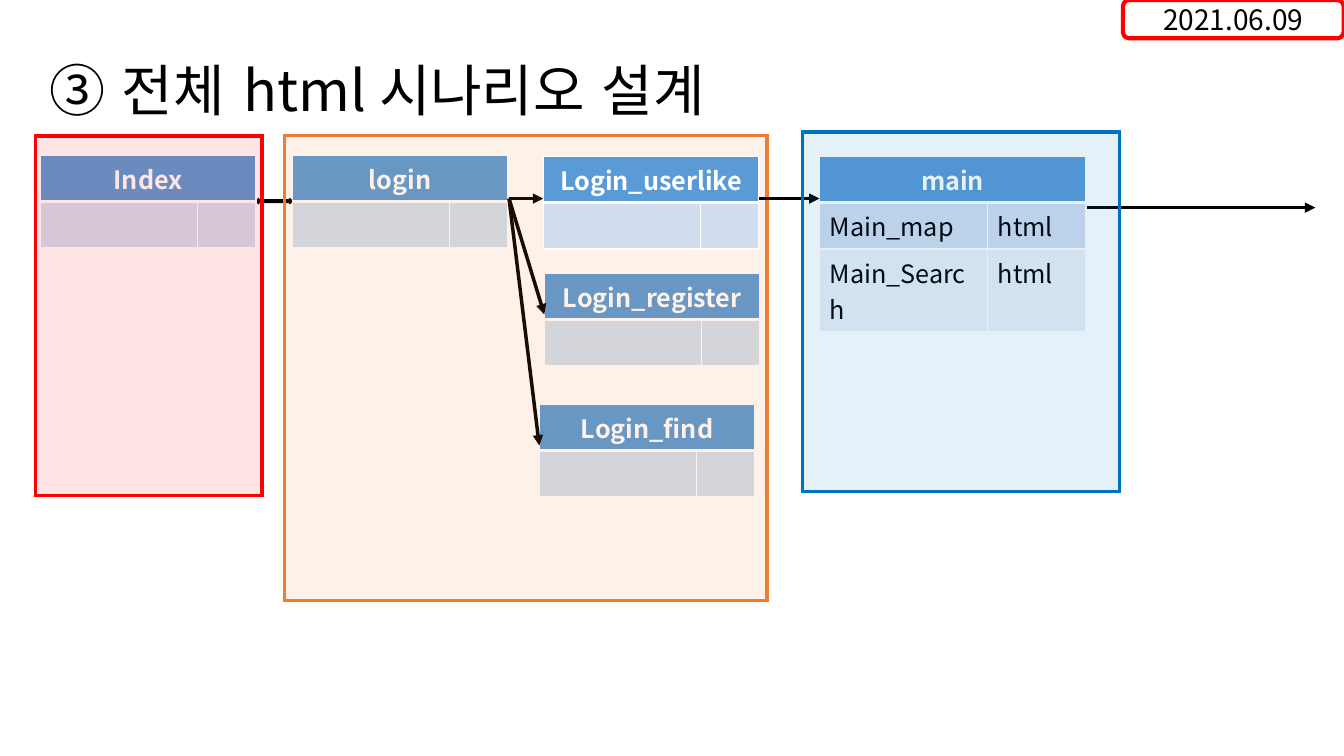
from dataclasses import dataclass

from lxml import etree
from pptx import Presentation, util as u
from pptx.dml.color import RGBColor
from pptx.enum import shapes, text
from pptx.oxml import ns

EMU_PER_PX = 9144
FONT = "Noto Sans CJK KR"
BLACK = RGBColor(0x00, 0x00, 0x00)
WHITE = RGBColor(0xFF, 0xFF, 0xFF)
RED = RGBColor(0xFF, 0x00, 0x00)
ORANGE = RGBColor(0xED, 0x7D, 0x31)
BLUE = RGBColor(0x00, 0x70, 0xC0)
HEADER = RGBColor(0x5B, 0x9B, 0xD5)
BANDS = (RGBColor(0xD2, 0xDE, 0xEF), RGBColor(0xEA, 0xEF, 0xF7))
LINE_ROW = 46
WRAPPED_ROW = 82


@dataclass(frozen=True)
class Page:
    name: str
    left: int
    top: int
    columns: tuple[int, int] = (156, 58)
    rows: tuple[tuple[str, str], ...] = (("", ""),)
    heights: tuple[int, ...] = (LINE_ROW, LINE_ROW)


@dataclass(frozen=True)
class Zone:
    left: int
    top: int
    width: int
    height: int
    color: RGBColor


@dataclass(frozen=True)
class Flow:
    start: tuple[int, int]
    end: tuple[int, int]


INDEX = Page("Index", 40, 154)
LOGIN = Page("login", 290, 154)
LOGIN_FIND = Page("Login_find", 535, 401)
LOGIN_REGISTER = Page("Login_register", 540, 271)
LOGIN_USERLIKE = Page("Login_userlike", 539, 155)
MAIN = Page("main", 813, 155, (167, 97),
            (("Main_map", "html"), ("Main_Search", "html")),
            (LINE_ROW, LINE_ROW, WRAPPED_ROW))

INDEX_ZONE = Zone(35, 135, 225, 357, RED)
LOGIN_ZONE = Zone(282, 134, 479, 462, ORANGE)
MAIN_ZONE = Zone(796, 131, 315, 357, BLUE)

LOGIN_EXIT = (505, 197)
LOGIN_FLOWS = [Flow(LOGIN_EXIT, end) for end in ((540, 312), (535, 442), (539, 197))]
MAIN_FLOWS = [Flow((753, 197), (813, 197)), Flow((1078, 206), (1305, 206))]


def px(length: int) -> u.Emu:
    return u.Emu(length * EMU_PER_PX)


def add_run(paragraph, wording: str, size: int, color: RGBColor = BLACK,
            bold: bool = False, spacing: int = 0) -> None:
    """Add a run; spacing is extra letter spacing in hundredths of a point."""
    run = paragraph.add_run()
    run.text = wording
    run.font.size = u.Pt(size)
    run.font.bold = bold
    run.font.name = FONT
    run.font.color.rgb = color
    properties = run.font._element
    etree.SubElement(properties, ns.qn("a:ea"), typeface=FONT)
    if spacing:
        properties.set("spc", str(spacing))


def add_title(slide) -> None:
    frame = slide.shapes.add_textbox(px(39), px(56), px(955), px(71)).text_frame
    frame.word_wrap = True
    frame.vertical_anchor = text.MSO_ANCHOR.BOTTOM
    paragraph = frame.paragraphs[0]
    paragraph.line_spacing = 1.2
    for wording, spacing in (("③", 0), (" ", 300), ("전체", 0), (" ", 450),
                             ("html 시나리오", 0), (" ", 300), ("설계", 0)):
        add_run(paragraph, wording, 40, spacing=spacing)


def add_date(slide) -> None:
    badge = slide.shapes.add_shape(shapes.MSO_SHAPE.ROUNDED_RECTANGLE,
                                   px(1114), px(0), px(219), px(38))
    badge.shadow.inherit = False
    badge.fill.background()
    badge.line.color.rgb = RED
    badge.line.width = u.Pt(3)
    badge.text_frame.vertical_anchor = text.MSO_ANCHOR.MIDDLE
    paragraph = badge.text_frame.paragraphs[0]
    paragraph.alignment = text.PP_ALIGN.CENTER
    add_run(paragraph, "2021.06.09", 20)


def add_two_way_arrow(slide) -> None:
    arrow = slide.shapes.add_shape(shapes.MSO_SHAPE.LEFT_RIGHT_ARROW,
                                   px(254), px(197), px(36), px(5))
    arrow.shadow.inherit = False
    arrow.fill.solid()
    arrow.fill.fore_color.rgb = BLACK
    arrow.line.color.rgb = BLACK
    arrow.line.width = u.Pt(1)


def style_cell(cell, fill: RGBColor, top: int, bottom: int) -> None:
    """Set white borders, with top and bottom widths in points, and the fill."""
    properties = cell._tc.get_or_add_tcPr()
    for side, width in (("L", 1), ("R", 1), ("T", top), ("B", bottom)):
        border = etree.SubElement(properties, ns.qn(f"a:ln{side}"), w=str(u.Pt(width)))
        paint = etree.SubElement(border, ns.qn("a:solidFill"))
        etree.SubElement(paint, ns.qn("a:srgbClr"), val=str(WHITE))
    cell.fill.solid()
    cell.fill.fore_color.rgb = fill


def add_page(slide, page: Page) -> None:
    table = slide.shapes.add_table(len(page.heights), 2, px(page.left), px(page.top),
                                   px(sum(page.columns)), px(sum(page.heights))).table
    table.horz_banding = False
    for column, width in zip(table.columns, page.columns):
        column.width = px(width)
    for row, height in zip(table.rows, page.heights):
        row.height = px(height)

    for cell in table.rows[0].cells:
        style_cell(cell, HEADER, 1, 3)
    heading = table.cell(0, 0)
    heading.merge(table.cell(0, 1))
    paragraph = heading.text_frame.paragraphs[0]
    paragraph.alignment = text.PP_ALIGN.CENTER
    add_run(paragraph, page.name, 18, WHITE, bold=True)

    for i, entries in enumerate(page.rows):
        for j, entry in enumerate(entries):
            cell = table.cell(i + 1, j)
            style_cell(cell, BANDS[i % 2], 1 if i else 3, 1)
            if entry:
                add_run(cell.text_frame.paragraphs[0], entry, 18)


def add_zone(slide, zone: Zone) -> None:
    frame = slide.shapes.add_shape(shapes.MSO_SHAPE.RECTANGLE, px(zone.left), px(zone.top),
                                   px(zone.width), px(zone.height))
    frame.shadow.inherit = False
    frame.fill.solid()
    frame.fill.fore_color.rgb = zone.color
    tint = frame._element.spPr.find(ns.qn("a:solidFill"))[0]
    etree.SubElement(tint, ns.qn("a:alpha"), val="10000")
    frame.line.color.rgb = zone.color
    frame.line.width = u.Pt(2.25)
    outline = frame.line._get_or_add_ln()
    etree.SubElement(outline, ns.qn("a:miter"), lim="800000")


def add_flow(slide, flow: Flow) -> None:
    arrow = slide.shapes.add_connector(shapes.MSO_CONNECTOR.STRAIGHT,
                                       *map(px, flow.start + flow.end))
    arrow.line.color.rgb = BLACK
    arrow.line.width = u.Pt(2.5)
    outline = arrow.line._get_or_add_ln()
    etree.SubElement(outline, ns.qn("a:tailEnd"), type="triangle")
    etree.SubElement(arrow._element.spPr, ns.qn("a:effectLst"))


def main() -> None:
    deck = Presentation()
    deck.slide_height = px(750)
    deck.slide_width = u.Emu(deck.slide_height * 16 // 9)
    slide = deck.slides.add_slide(deck.slide_layouts[6])

    add_two_way_arrow(slide)
    add_title(slide)
    add_date(slide)
    for page in (INDEX, LOGIN_FIND, LOGIN_REGISTER, LOGIN):
        add_page(slide, page)
    for flow in LOGIN_FLOWS:
        add_flow(slide, flow)
    add_page(slide, MAIN)
    for zone in (INDEX_ZONE, LOGIN_ZONE):
        add_zone(slide, zone)
    add_page(slide, LOGIN_USERLIKE)
    for flow in MAIN_FLOWS:
        add_flow(slide, flow)
    add_zone(slide, MAIN_ZONE)
    deck.save("out.pptx")


if __name__ == "__main__":
    main()
